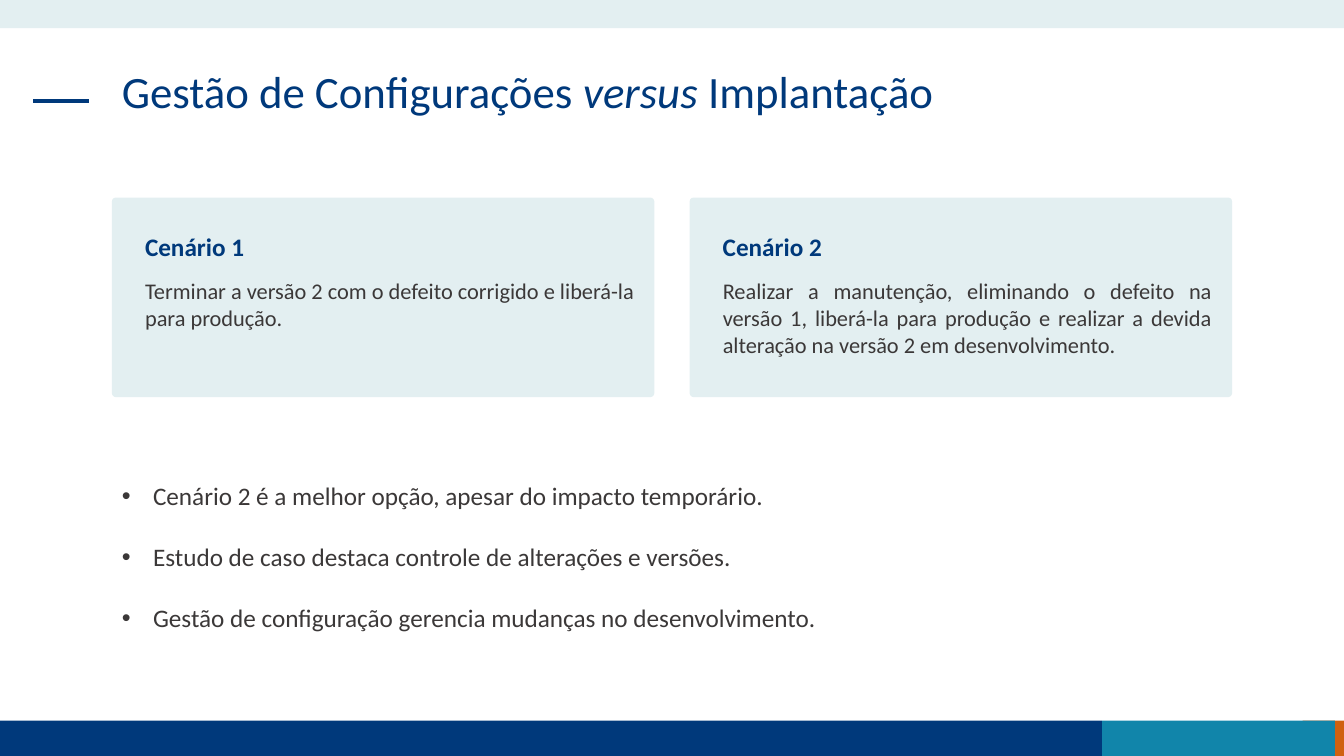
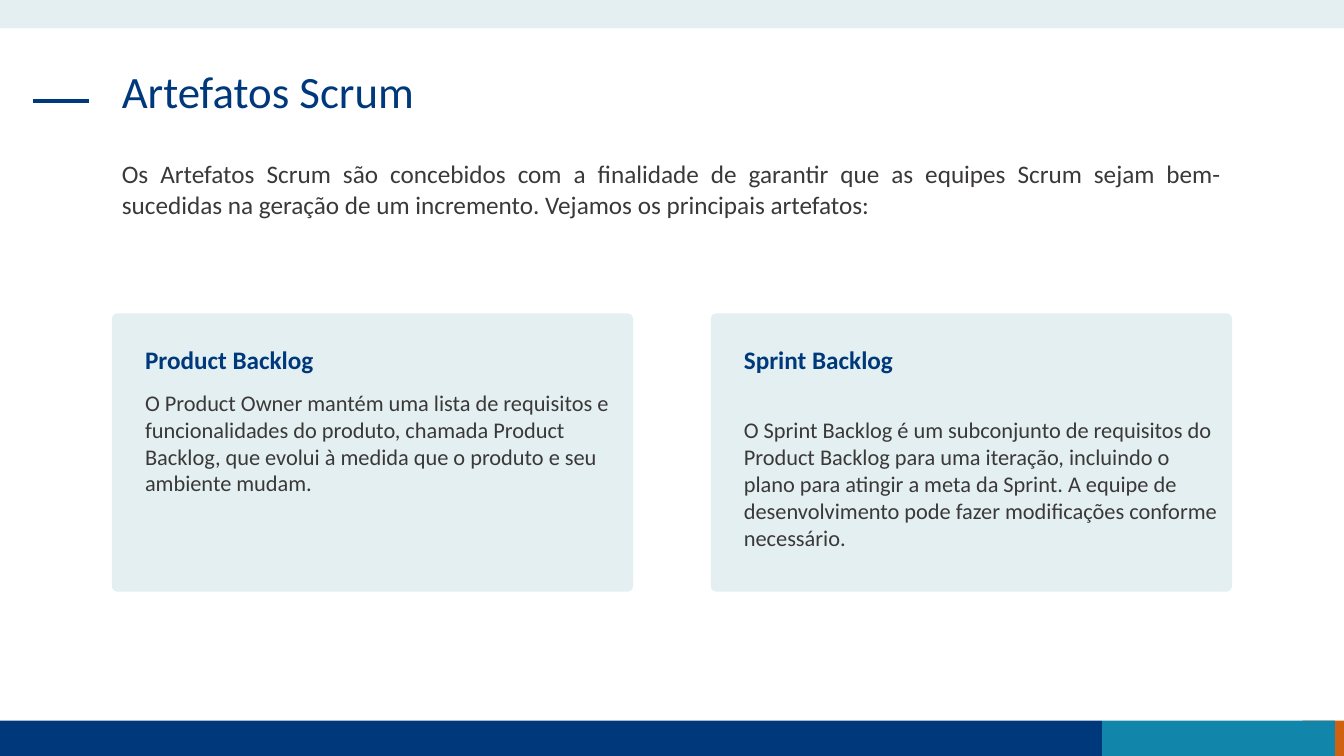
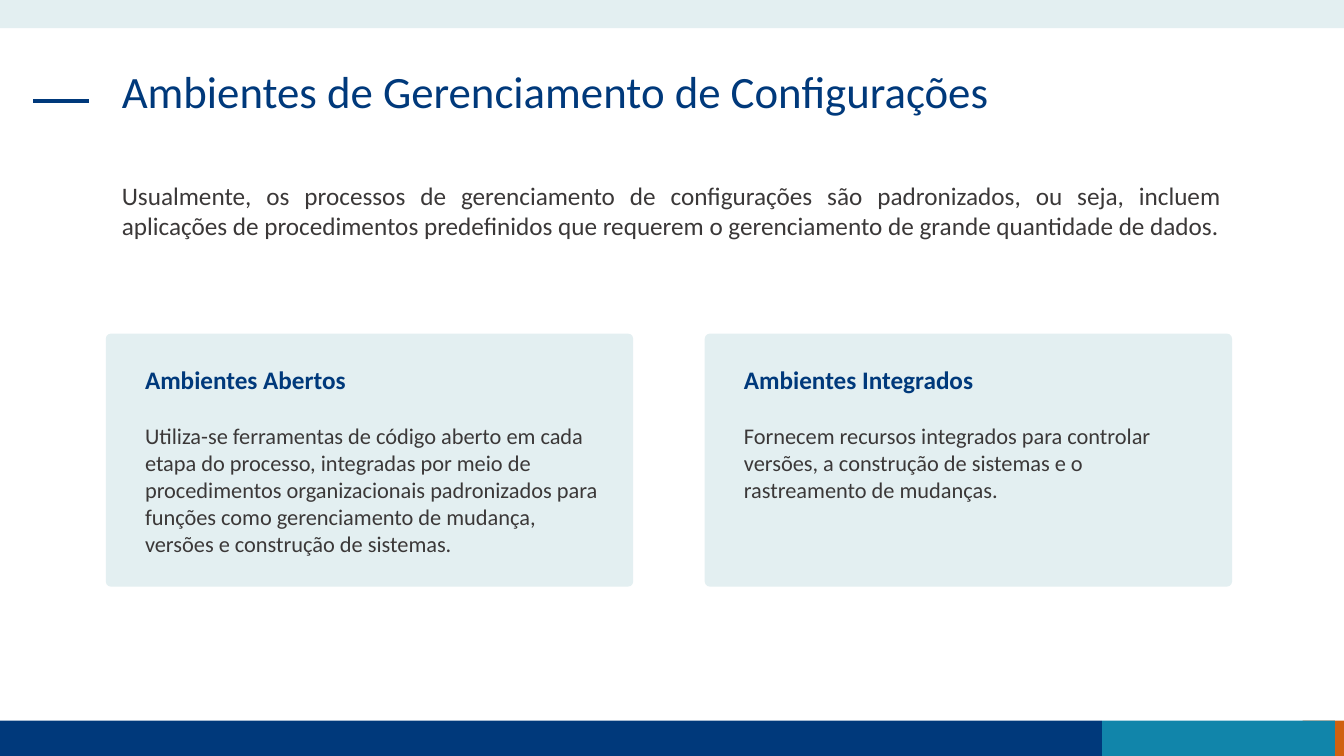
import lxml.etree
import pptx
import pptx.dml.color
import pptx.enum.shapes
import pptx.enum.text
import pptx.oxml.ns
import pptx.util

Inches = pptx.util.Inches
Pt = pptx.util.Pt
qn = pptx.oxml.ns.qn
SHAPE = pptx.enum.shapes.MSO_SHAPE
ALIGN = pptx.enum.text.PP_ALIGN
ANCHOR = pptx.enum.text.MSO_ANCHOR

COLORS = {
    "navy": "00397B",
    "teal": "1185AA",
    "orange": "D06110",
    "mist": "E3EFF1",
    "text": "3B3838",
}
FONT = "Calibri"
BANDS = [  # left, top, width, height, colour
    (12.92, 7.15, 0.41, 0.35, "orange"),
    (0, 7.15, 10.93, 0.35, "navy"),
    (10.93, 7.15, 2.31, 0.35, "teal"),
    (0, 0, 13.33, 0.28, "mist"),
]
MARGIN = 1.11
CONTENT_WIDTH = 11.1
CARDS_RIGHT = 12.22
CARD_TEXT_LEFT = 1.34
HEADING_WIDTH = 4.5

SLIDES = [
    {
        "title": [("Gestão de Configurações ", False), ("versus ", True), ("Implantação", False)],
        "intro": [
            "Cenário 2 é a melhor opção, apesar do impacto temporário.",
            "Estudo de caso destaca controle de alterações e versões.",
            "Gestão de configuração gerencia mudanças no desenvolvimento.",
        ],
        "intro_top": 4.71, "intro_height": 1.62, "bulleted": True,
        "card": (1.11, 1.96, 5.38, 1.98),
        "heading_top": 2.25, "body_width": 5.05, "body_align": ALIGN.JUSTIFY,
        "cards": [
            ("Cenário 1", 2.7, 0.64,
             "Terminar a versão 2 com o defeito corrigido e liberá-la para produção."),
            ("Cenário 2", 2.7, 0.91,
             "Realizar a manutenção, eliminando o defeito na versão 1, liberá-la para "
             "produção e realizar a devida alteração na versão 2 em desenvolvimento."),
        ],
    },
    {
        "title": [("Artefatos Scrum", False)],
        "intro": [
            "Os Artefatos Scrum são concebidos com a finalidade de garantir que as equipes "
            "Scrum sejam bem-sucedidas na geração de um incremento. Vejamos os principais "
            "artefatos:",
        ],
        "intro_top": 1.52, "intro_height": 0.71, "bulleted": False,
        "card": (1.11, 3.11, 5.17, 2.76),
        "heading_top": 3.37, "body_width": 4.94, "body_align": ALIGN.LEFT,
        "cards": [
            ("Product Backlog", 3.81, 1.18,
             "O Product Owner mantém uma lista de requisitos e funcionalidades do produto, "
             "chamada Product Backlog, que evolui à medida que o produto e seu ambiente mudam."),
            ("Sprint Backlog", 4.08, 1.45,
             "O Sprint Backlog é um subconjunto de requisitos do Product Backlog para uma "
             "iteração, incluindo o plano para atingir a meta da Sprint. A equipe de "
             "desenvolvimento pode fazer modificações conforme necessário."),
        ],
    },
    {
        "title": [("Ambientes de Gerenciamento de Configurações", False)],
        "intro": [
            "Usualmente, os processos de gerenciamento de configurações são padronizados, ou "
            "seja, incluem aplicações de procedimentos predefinidos que requerem o "
            "gerenciamento de grande quantidade de dados.",
        ],
        "intro_top": 1.58, "intro_height": 1.01, "bulleted": False,
        "card": (1.05, 3.31, 5.23, 2.51),
        "heading_top": 3.57, "body_width": 4.72, "body_align": ALIGN.LEFT,
        "cards": [
            ("Ambientes Abertos", 4.14, 1.45,
             "Utiliza-se ferramentas de código aberto em cada etapa do processo, integradas "
             "por meio de procedimentos organizacionais padronizados para funções como "
             "gerenciamento de mudança, versões e construção de sistemas."),
            ("Ambientes Integrados", 4.14, 0.91,
             "Fornecem recursos integrados para controlar versões, a construção de sistemas "
             "e o rastreamento de mudanças."),
        ],
    },
]


def add_block(slide, kind, left, top, width, height, color):
    """Add a filled shape without outline or shadow."""
    block = slide.shapes.add_shape(kind, Inches(left), Inches(top), Inches(width), Inches(height))
    block.shadow.inherit = False
    block.fill.solid()
    block.fill.fore_color.rgb = pptx.dml.color.RGBColor.from_string(COLORS[color])
    block.line.fill.background()
    return block


def add_text(slide, left, top, width, height, paragraphs, size, color,
             bold=False, align=ALIGN.LEFT):
    """Add a text box; each paragraph is a list of (text, italic) runs."""
    box = slide.shapes.add_textbox(Inches(left), Inches(top), Inches(width), Inches(height))
    frame = box.text_frame
    frame.word_wrap = True
    for index, runs in enumerate(paragraphs):
        paragraph = frame.paragraphs[0] if index == 0 else frame.add_paragraph()
        paragraph.alignment = align
        for words, italic in runs:
            run = paragraph.add_run()
            run.text = words
            run.font.name = FONT
            run.font.size = Pt(size)
            run.font.bold = bold
            run.font.italic = italic
            run.font.color.rgb = pptx.dml.color.RGBColor.from_string(COLORS[color])
    return frame


presentation = pptx.Presentation()
presentation.slide_width = Inches(13.33)
presentation.slide_height = Inches(7.5)

for content in SLIDES:
    slide = presentation.slides.add_slide(presentation.slide_layouts[6])

    for left, top, width, height, color in BANDS:
        add_block(slide, SHAPE.RECTANGLE, left, top, width, height, color)
    title_dash = slide.shapes.add_connector(
        pptx.enum.shapes.MSO_CONNECTOR.STRAIGHT, Inches(0.33), Inches(1), Inches(0.88), Inches(1))
    title_dash.line.color.rgb = pptx.dml.color.RGBColor.from_string(COLORS["navy"])
    title_dash.line.width = Pt(3)
    lxml.etree.SubElement(title_dash._element.spPr, qn("a:effectLst"))

    title = add_text(slide, MARGIN, 0.64, CONTENT_WIDTH, 0.94, [content["title"]], 32, "navy")
    title.paragraphs[0].line_spacing = 0.9

    intro = add_text(slide, MARGIN, content["intro_top"], CONTENT_WIDTH, content["intro_height"],
                     [[(words, False)] for words in content["intro"]], 18, "text",
                     align=ALIGN.JUSTIFY)
    intro.vertical_anchor = ANCHOR.MIDDLE
    if content["bulleted"]:
        for index, paragraph in enumerate(intro.paragraphs):
            properties = paragraph._p.get_or_add_pPr()
            properties.set("marL", str(Inches(0.31)))
            properties.set("indent", str(-Inches(0.31)))
            lxml.etree.SubElement(properties, qn("a:buFont"), typeface="Arial")
            lxml.etree.SubElement(properties, qn("a:buChar"), char="•")
            if index:
                paragraph.space_before = Pt(22)

    card_left, card_top, card_width, card_height = content["card"]
    card_step = CARDS_RIGHT - card_width - card_left
    for column, (heading, body_top, body_height, body) in enumerate(content["cards"]):
        shift = column * card_step
        card = add_block(slide, SHAPE.ROUNDED_RECTANGLE, card_left + shift, card_top,
                         card_width, card_height, "mist")
        card.adjustments[0] = 0.02
        text_left = CARD_TEXT_LEFT + shift
        add_text(slide, text_left, content["heading_top"], HEADING_WIDTH, 0.4,
                 [[(heading, False)]], 18, "navy", bold=True)
        add_text(slide, text_left, body_top, content["body_width"], body_height,
                 [[(body, False)]], 16, "text", align=content["body_align"])

presentation.save("out.pptx")
